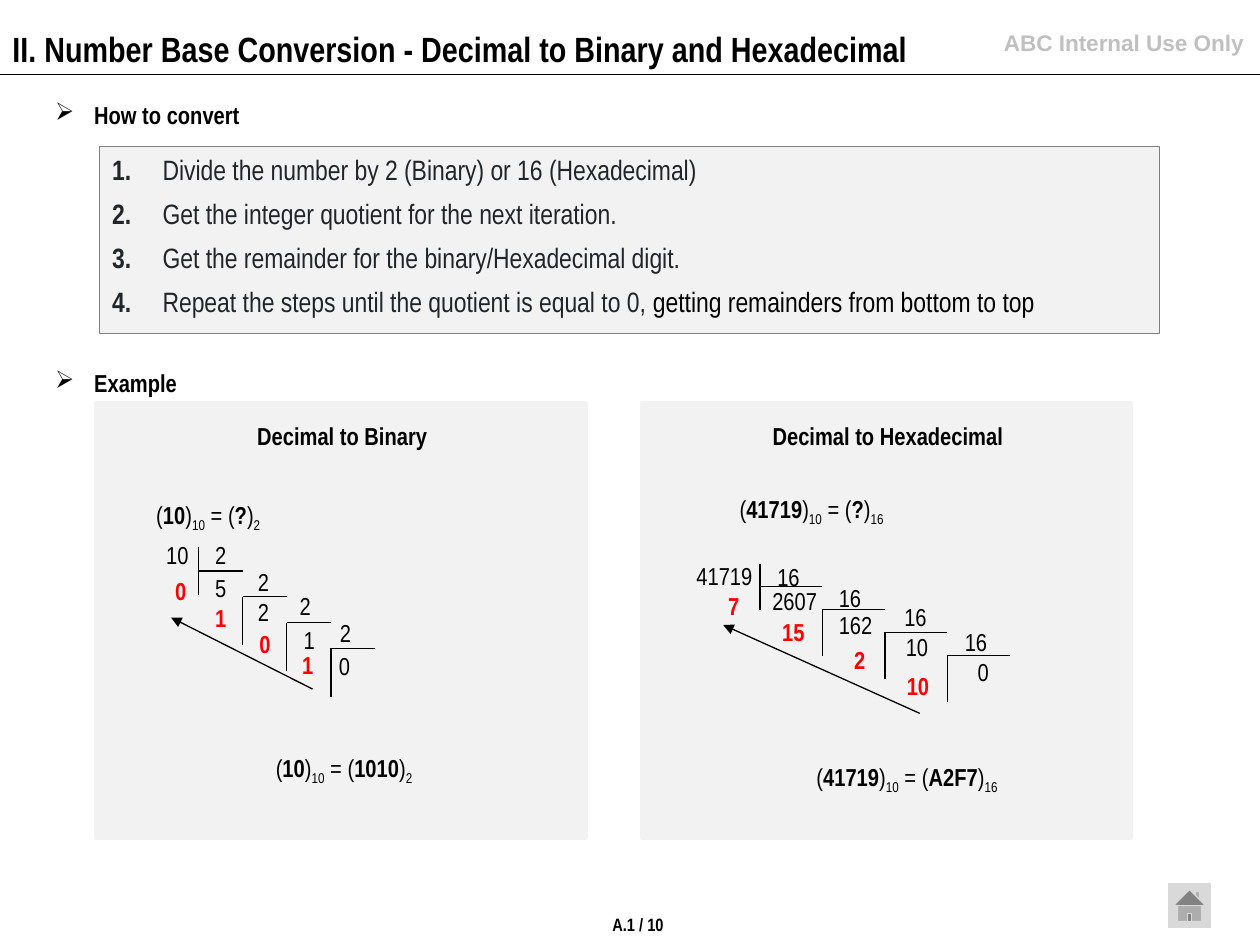
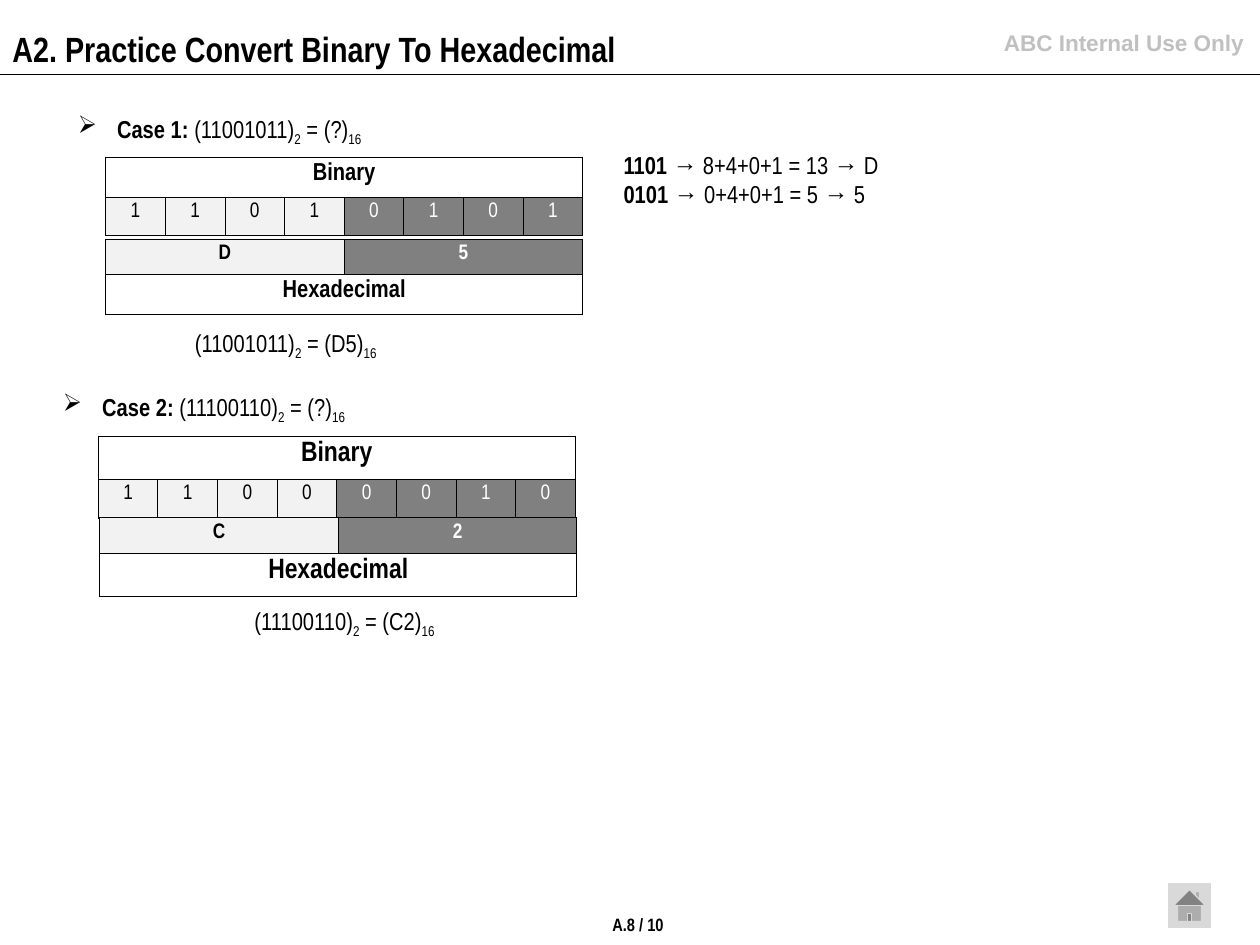
from lxml import etree
from pptx import Presentation
from pptx.dml.color import RGBColor
from pptx.enum.shapes import MSO_CONNECTOR, MSO_SHAPE
from pptx.enum.text import MSO_ANCHOR, PP_ALIGN
from pptx.oxml.ns import qn
from pptx.util import Cm, Pt

BLACK = RGBColor(0x00, 0x00, 0x00)
WHITE = RGBColor(0xFF, 0xFF, 0xFF)
RED = RGBColor(0xFF, 0x00, 0x00)
INK = RGBColor(0x21, 0x25, 0x29)
PALE = RGBColor(0xF2, 0xF2, 0xF2)
GREY = RGBColor(0x80, 0x80, 0x80)
BUTTON = RGBColor(0xD9, 0xD9, 0xD9)
NOTICE = RGBColor(0xC0, 0xC0, 0xC0)

FONT = "Arial Narrow"
LINE_HEIGHT = 0.86
PANEL_WIDTH, PANEL_HEIGHT = 9.88, 8.76
TABLE_WIDTH = 9.62


def style_run(run, size, color=BLACK, bold=False, font=FONT):
    run.font.name = font
    run.font.size = Pt(size)
    run.font.bold = bold
    run.font.color.rgb = color


def write_runs(paragraph, pieces, size=14, color=BLACK):
    """Write (text, style) pieces; the style is "", "bold" or "sub"."""
    for text, style in pieces:
        run = paragraph.add_run()
        run.text = text
        style_run(run, size, color, style == "bold")
        if style == "sub":
            run._r.get_or_add_rPr().set("baseline", "-25000")


def add_bullet(paragraph, indent, tag, **attributes):
    properties = paragraph._p.get_or_add_pPr()
    properties.set("marL", str(Cm(indent)))
    properties.set("indent", str(-Cm(indent)))
    etree.SubElement(properties, qn(tag), attributes)


def add_text(slide, left, top, width, height=LINE_HEIGHT):
    frame = slide.shapes.add_textbox(Cm(left), Cm(top), Cm(width), Cm(height)).text_frame
    frame.word_wrap = True
    return frame


def add_label(slide, text, left, top, width, size=14, color=BLACK, bold=False,
              font=FONT, align=PP_ALIGN.LEFT):
    frame = add_text(slide, left, top, width)
    frame.text = text
    paragraph = frame.paragraphs[0]
    paragraph.alignment = align
    style_run(paragraph.runs[0], size, color, bold, font)


def add_box(slide, left, top, width, height, fill, line=None, line_width=0.75,
            kind=MSO_SHAPE.RECTANGLE):
    box = slide.shapes.add_shape(kind, Cm(left), Cm(top), Cm(width), Cm(height))
    box.shadow.inherit = False
    box.fill.solid()
    box.fill.fore_color.rgb = fill
    if line is None:
        box.line.fill.background()
    else:
        box.line.color.rgb = line
        box.line.width = Pt(line_width)
    return box


def add_line(slide, start, end, arrow=False):
    line = slide.shapes.add_connector(MSO_CONNECTOR.STRAIGHT, *map(Cm, start + end))
    line.line.color.rgb = BLACK
    line.line.width = Pt(0.75)
    properties = line._element.spPr
    if arrow:
        etree.SubElement(properties.find(qn("a:ln")), qn("a:tailEnd"), type="triangle")
    etree.SubElement(properties, qn("a:effectLst"))


def add_heading(slide, pieces, left, top, width):
    frame = add_text(slide, left, top, width, 1.19)
    frame.vertical_anchor = MSO_ANCHOR.MIDDLE
    heading = frame.paragraphs[0]
    heading.line_spacing = 0.9
    add_bullet(heading, 0.79, "a:buChar", char="➢")
    write_runs(heading, pieces)


def equation(value, base, answer, target, style=""):
    return [("(", ""), (value, style), (")", ""), (str(base), "sub"),
            (" = (", ""), (answer, style), (")", ""), (str(target), "sub")]


def add_equation(slide, pieces, left, top):
    write_runs(add_text(slide, left, top, 7.37).paragraphs[0], pieces)


def add_page(deck, title, number):
    """Add a slide with the shared title, notice, home button and page number."""
    slide = deck.slides.add_slide(deck.slide_layouts[6])
    add_line(slide, (0, 1.5), (25.4, 1.5))
    add_label(slide, "ABC Internal Use Only", 18.34, 0.46, 6.98, 12.9, NOTICE, True,
              "Arial", PP_ALIGN.RIGHT)
    add_label(slide, title, 0, 0.43, 21.3, 20, bold=True)
    add_box(slide, 23.55, 17.81, 0.86, 0.89, BUTTON, BUTTON,
            kind=MSO_SHAPE.ACTION_BUTTON_HOME)
    frame = add_box(slide, 12.34, 18.42, 1.04, 0.43, WHITE).text_frame
    frame.margin_left = frame.margin_right = frame.margin_top = frame.margin_bottom = 0
    frame.word_wrap = False
    frame.text = number
    frame.paragraphs[0].alignment = PP_ALIGN.CENTER
    style_run(frame.paragraphs[0].runs[0], 10.2, bold=True)
    return slide


def add_steps(slide, steps):
    frame = add_box(slide, 2.01, 2.95, 21.36, 3.78, PALE, GREY).text_frame
    frame.word_wrap = True
    frame.vertical_anchor = MSO_ANCHOR.TOP
    for index, (step, remark) in enumerate(steps):
        paragraph = frame.add_paragraph() if index else frame.paragraphs[0]
        paragraph.alignment = PP_ALIGN.LEFT
        paragraph.space_before = Pt(6)
        add_bullet(paragraph, 0.89, "a:buAutoNum", type="arabicPeriod")
        # The bold first run makes the step number bold.
        write_runs(paragraph, [(" ", "bold"), (step, "")], 16, INK)
        if remark:
            write_runs(paragraph, [(remark, "")], 16)


def add_number(slide, number, spot, color=BLACK, bold=False):
    text = str(number)
    add_label(slide, text, *spot, max(1.09, 0.53 + 0.23 * len(text)), color=color, bold=bold)


def add_ladder(slide, number, base, corner, step, drop, dividend_spot, rungs):
    """Draw repeated division; each rung places divisor, quotient and remainder."""
    add_number(slide, number, dividend_spot)
    for index, (divisor_spot, quotient_spot, remainder_spot) in enumerate(rungs):
        x, y = corner[0] + index * step[0], corner[1] + index * step[1]
        bar_top = y if index else y - drop / 2
        add_line(slide, (x, bar_top), (x, bar_top + drop))
        add_line(slide, (x, y), (x + step[0], y))
        number, remainder = divmod(number, base)
        add_number(slide, base, divisor_spot)
        add_number(slide, number, quotient_spot)
        add_number(slide, remainder, remainder_spot, RED, True)


def add_panel(slide, title, left):
    add_box(slide, left, 8.13, PANEL_WIDTH, PANEL_HEIGHT, PALE, PALE, 2)
    add_label(slide, title, left + 0.03, 8.36, PANEL_WIDTH, bold=True, align=PP_ALIGN.CENTER)


def fill_cell(cell, text, size, fill, color=BLACK, bold=False):
    cell.margin_left = cell.margin_right = Cm(0.18)
    cell.margin_top = cell.margin_bottom = Cm(0.1)
    cell.fill.solid()
    cell.fill.fore_color.rgb = fill
    if text:
        cell.text = text
        paragraph = cell.text_frame.paragraphs[0]
        paragraph.alignment = PP_ALIGN.CENTER
        style_run(paragraph.runs[0], size, color, bold)
    properties = cell._tc.get_or_add_tcPr()
    for index, side in enumerate(("a:lnL", "a:lnR", "a:lnT", "a:lnB")):
        border = etree.Element(qn(side), w=str(Pt(0.5)))
        paint = etree.SubElement(border, qn("a:solidFill"))
        etree.SubElement(paint, qn("a:srgbClr"), val=str(BLACK))
        properties.insert(index, border)


def add_digit_table(slide, left, top, title, title_size, title_row, digits, digit_height):
    """Add a row of digits, pale left half and dark right half, with a spanning title."""
    count = len(digits)
    heights = [digit_height, digit_height]
    heights[title_row] = 0.77 if title_size == 14 else 0.87
    table = slide.shapes.add_table(2, count, Cm(left), Cm(top), Cm(TABLE_WIDTH),
                                   Cm(sum(heights))).table
    table.first_row = table.horz_banding = False
    for row, height in zip(table.rows, heights):
        row.height = Cm(height)
    table.cell(title_row, 0).merge(table.cell(title_row, count - 1))
    for index, digit in enumerate(digits):
        table.columns[index].width = Cm(TABLE_WIDTH / count)
        fill, color = (PALE, BLACK) if index < count / 2 else (GREY, WHITE)
        fill_cell(table.cell(1 - title_row, index), digit, 12, fill, color, count == 2)
        fill_cell(table.cell(title_row, index), "" if index else title, title_size,
                  WHITE, bold=True)


def add_case(slide, name, value, answer, heading_box, bits, bits_spot, hex_spot,
             title_size, answer_spot):
    add_heading(slide, [(f"{name}: ", "bold")] + equation(value, 2, "?", 16), *heading_box)
    add_digit_table(slide, *bits_spot, "Binary", title_size, 0, bits, 0.78)
    add_digit_table(slide, *hex_spot, "Hexadecimal", title_size, 1, answer, 0.71)
    add_equation(slide, equation(value, 2, answer, 16), *answer_spot)


def build_conversion(deck):
    slide = add_page(deck, "II. Number Base Conversion - Decimal to Binary and Hexadecimal",
                     "A.1 / 10")
    add_heading(slide, [("How to convert", "bold")], 0.86, 1.75, 21.9)
    add_steps(slide, [
        ("Divide the number by 2 (Binary) or 16 (Hexadecimal)", ""),
        ("Get the integer quotient for the next iteration.", ""),
        ("Get the remainder for the binary/Hexadecimal digit.", ""),
        ("Repeat the steps until the quotient is equal to 0, ",
         "getting remainders from bottom to top"),
    ])
    add_panel(slide, "Decimal to Binary", 1.93)
    add_panel(slide, "Decimal to Hexadecimal", 12.93)
    add_heading(slide, [("Example", "bold")], 0.86, 7.16, 21.9)

    add_equation(slide, equation("10", 10, "?", 2, "bold"), 2.9, 9.96)
    add_ladder(slide, 10, 2, (4, 11.51), (0.89, 0.52), 0.98, (3.1, 10.77), [
        ((4.09, 10.77), (4.09, 11.43), (3.28, 11.48)),
        ((4.95, 11.3), (4.95, 11.91), (4.09, 12.04)),
        ((5.79, 11.79), (5.87, 12.47), (4.98, 12.55)),
        ((6.6, 12.34), (6.58, 13), (5.84, 12.98)),
    ])
    add_line(slide, (6.3, 13.89), (3.45, 12.45), arrow=True)
    add_equation(slide, equation("10", 10, "1010", 2, "bold"), 5.31, 15.06)

    add_equation(slide, equation("41719", 10, "?", 16, "bold"), 14.66, 9.83)
    add_ladder(slide, 41719, 16, (15.32, 11.83), (1.26, 0.46), 0.94, (13.79, 11.18), [
        ((15.42, 11.2), (15.32, 11.68), (14.43, 11.79)),
        ((16.66, 11.63), (16.66, 12.17), (15.52, 12.32)),
        ((17.98, 12.01), (18.01, 12.62), (16.97, 12.88)),
        ((19.2, 12.52), (19.46, 13.13), (18.03, 13.41)),
    ])
    add_line(slide, (18.54, 14.38), (14.58, 12.6), arrow=True)
    add_equation(slide, equation("41719", 10, "A2F7", 16, "bold"), 16.21, 15.24)


def build_practice(deck):
    slide = add_page(deck, "A2. Practice Convert Binary To Hexadecimal", "A.8 / 10")
    add_case(slide, "Case 1", "11001011", "D5", (1.32, 2.01, 9.78), "11010101",
             (2.13, 3.18), (2.13, 4.83), 14, (3.68, 6.48))
    add_case(slide, "Case 2", "11100110", "C2", (1.02, 7.62, 8.2), "11000010",
             (1.98, 8.79), (2.01, 10.44), 16, (4.88, 12.09))
    working = add_text(slide, 12.32, 2.9, 9.5, 1.45)
    write_runs(working.paragraphs[0], [("1101", "bold"), (" → 8+4+0+1 = 13 → D", "")])
    write_runs(working.add_paragraph(), [("0101", "bold"), (" → 0+4+0+1 = 5 → 5", "")])


def main():
    deck = Presentation()
    deck.slide_width, deck.slide_height = Cm(25.4), Cm(19.05)
    build_conversion(deck)
    build_practice(deck)
    deck.save("out.pptx")


if __name__ == "__main__":
    main()
